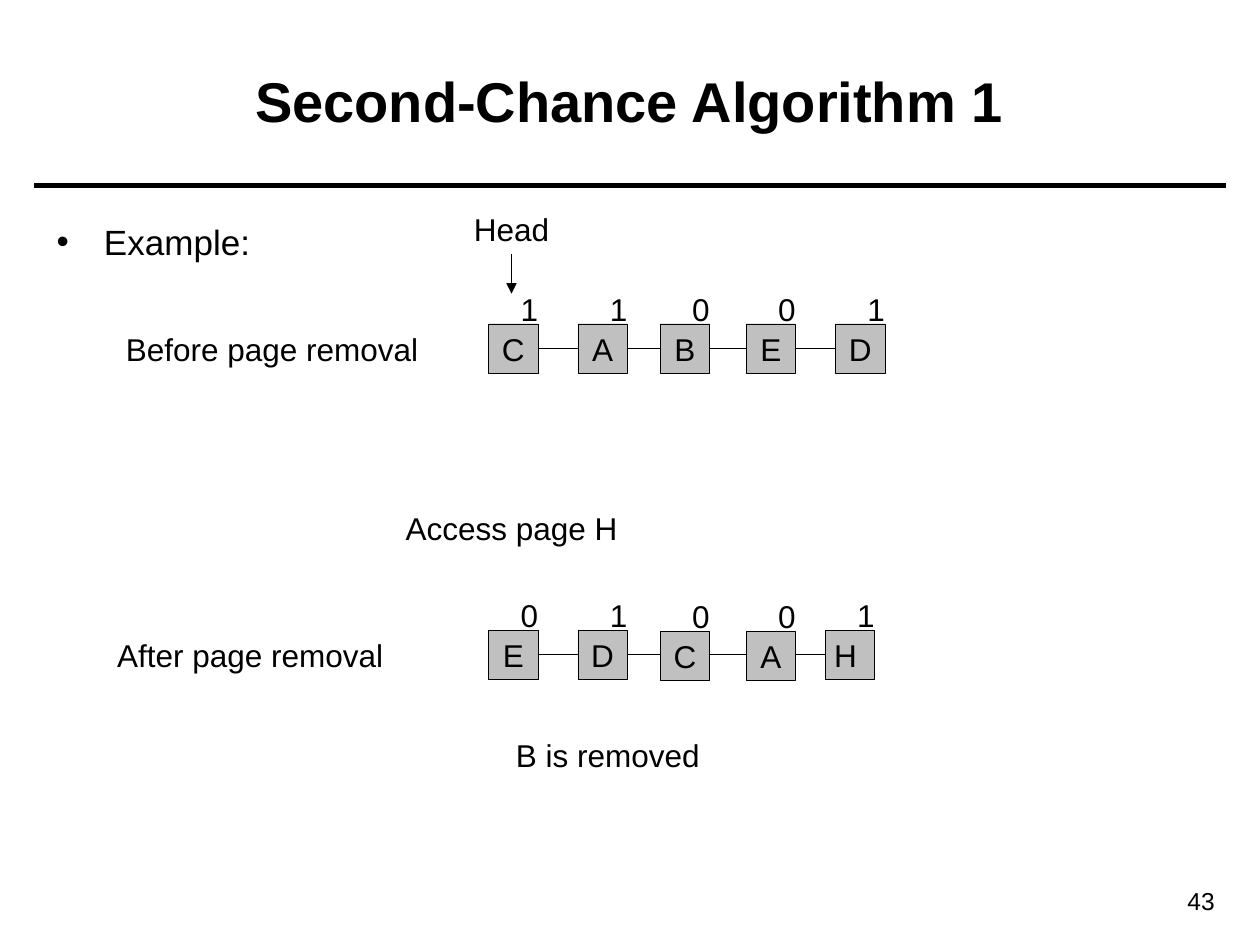
from pptx import Presentation
from pptx.dml.color import RGBColor
from pptx.enum import shapes, text
from pptx.oxml import ns
from pptx.util import Pt
from lxml import etree

HUES = {"ink": "000000", "box": "C0C0C0"}
FONT = "Arial"
SIDE = 28.2


class Page:
    def __init__(self, deck):
        self.slide = deck.slides.add_slide(deck.slide_layouts[1])
        self.items = self.slide.shapes

    def hue(self, name):
        return RGBColor.from_string(HUES[name])

    def style(self, frame, size, align, bold=False):
        for para in frame.paragraphs:
            para.alignment = align
            for run in para.runs:
                run.font.name = FONT
                run.font.size = Pt(size)
                run.font.bold = bold
                run.font.color.rgb = self.hue("ink")

    def place(self, item, x, y, w, h):
        item.left, item.top, item.width, item.height = Pt(x), Pt(y), Pt(w), Pt(h)

    def title(self, words, *area):
        item = self.items.title
        self.place(item, *area)
        item.text_frame.text = words
        item.text_frame.vertical_anchor = text.MSO_ANCHOR.MIDDLE
        self.style(item.text_frame, 32, text.PP_ALIGN.CENTER, True)

    def body(self, words, *area):
        item = self.slide.placeholders[1]
        self.place(item, *area)
        item.text_frame.text = words
        item.text_frame.paragraphs[0].space_before = Pt(4)
        self.style(item.text_frame, 20, text.PP_ALIGN.LEFT)

    def label(self, words, x, y, w, h=28.8, size=18, align=text.PP_ALIGN.CENTER):
        frame = self.items.add_textbox(Pt(x), Pt(y), Pt(w), Pt(h)).text_frame
        frame.text = words
        frame.word_wrap = False
        self.style(frame, size, align)

    def line(self, x1, y1, x2, y2, width=0.25, arrow=False):
        line = self.items.add_connector(
            shapes.MSO_CONNECTOR.STRAIGHT, Pt(x1), Pt(y1), Pt(x2), Pt(y2))
        line.line.width = Pt(width)
        line.line.color.rgb = self.hue("ink")
        if arrow:
            tail = etree.SubElement(line.line._get_or_add_ln(), ns.qn("a:tailEnd"))
            tail.set("type", "triangle")
        etree.SubElement(line._element.spPr, ns.qn("a:effectLst"))

    def box(self, words, x, y):
        box = self.items.add_shape(
            shapes.MSO_SHAPE.RECTANGLE, Pt(x), Pt(y), Pt(SIDE), Pt(SIDE))
        box.shadow.inherit = False
        box.fill.solid()
        box.fill.fore_color.rgb = self.hue("box")
        box.line.color.rgb = self.hue("ink")
        box.line.width = Pt(0.25)
        frame = box.text_frame
        frame.text = words
        frame.word_wrap = False
        frame.vertical_anchor = text.MSO_ANCHOR.MIDDLE
        self.style(frame, 18, text.PP_ALIGN.CENTER)

    def queue(self, start, y, cells):
        self.line(start, y + 14, start + 187.2, y + 14)
        for name, bit, x, drop in cells:
            self.box(name, x, y + drop)
            self.label(bit, x + 11, y + drop - 23, 24.5)


def main():
    deck = Presentation()
    deck.slide_width, deck.slide_height = Pt(720), Pt(540)
    page = Page(deck)
    page.line(19.5, 105.8, 700.5, 105.8, 3)
    page.title("Second-Chance Algorithm 1", 25.2, 12.2, 669, 90)
    page.body("Example:", 25.2, 122.4, 669, 368.6)

    spots = [279.2, 330.2, 377.3, 426.4, 477.4]
    page.queue(303, 185, zip("CABED", "11001", spots, [0] * 5))
    after = ["E", "D", "C", "A", "H "]
    page.queue(297.4, 360, zip(after, "01001", spots[:4] + [471.6],
                               [0, 0, 0.7, 0.7, 0]))

    page.label("Head", 263.5, 116.6, 57.6)
    page.line(292.3, 145.4, 292.3, 167.8, arrow=True)
    page.label("Before page removal", 64.8, 185, 181.4)
    page.label("Access page H", 224.6, 287.3, 135.4)
    page.label("After page removal", 59.8, 360, 166.3)
    page.label("B is removed", 287.3, 416.9, 120.2)
    page.label("43", 626.4, 502.6, 74.9, 24.5, 14, text.PP_ALIGN.RIGHT)
    deck.save("out.pptx")


if __name__ == "__main__":
    main()
